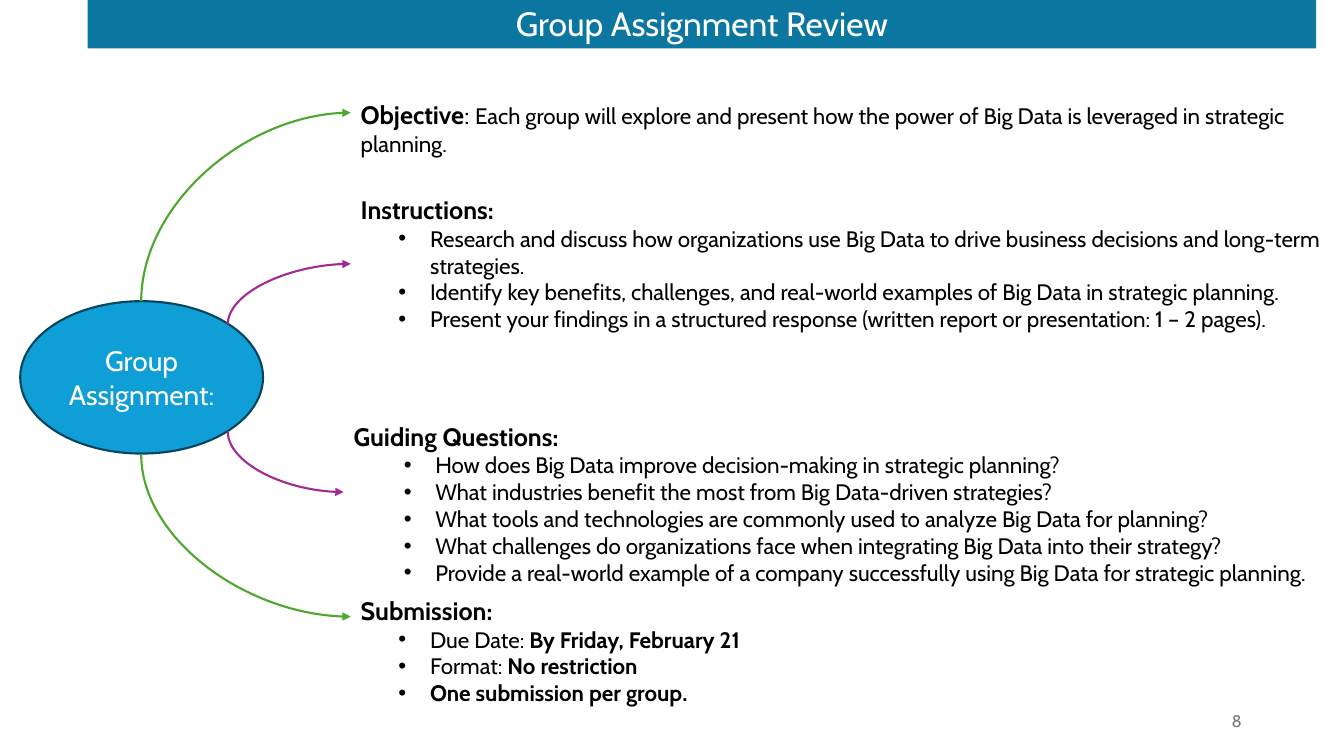
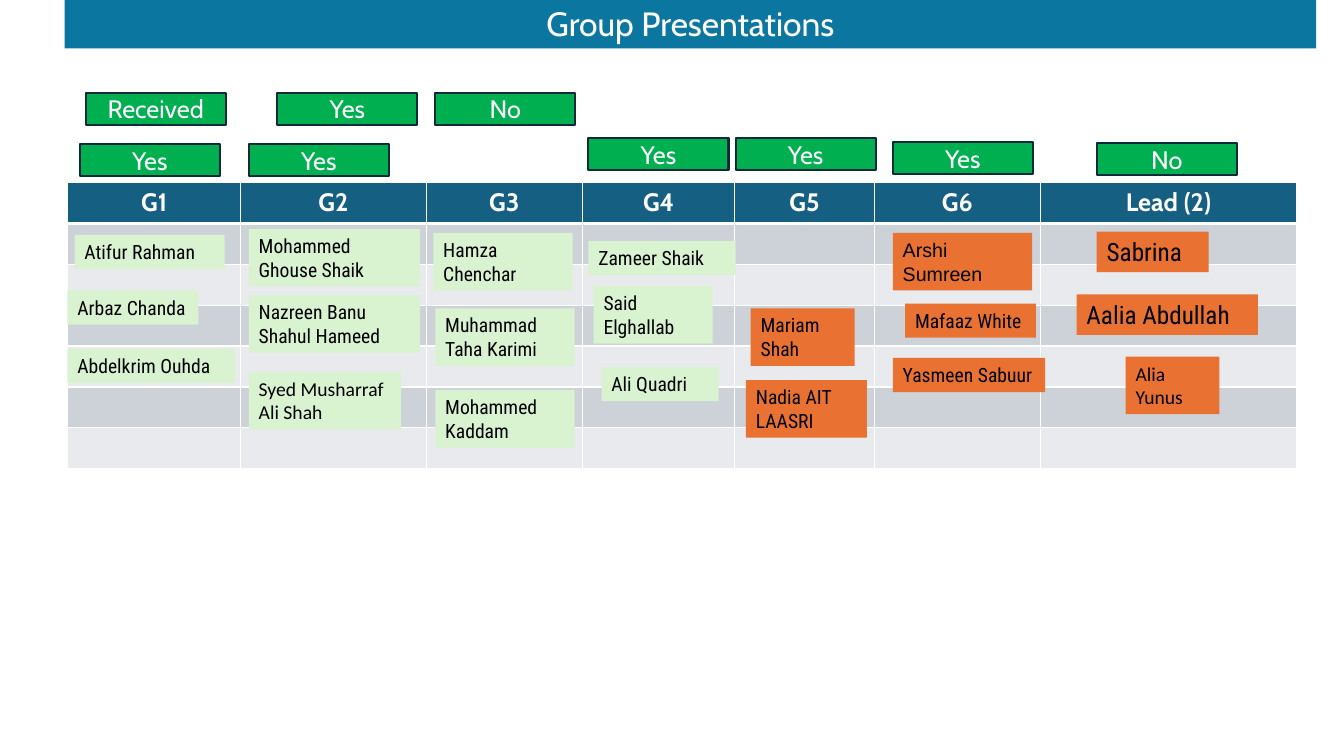
from dataclasses import dataclass

from lxml.etree import SubElement
from pptx import Presentation
from pptx.dml.color import RGBColor
from pptx.enum.shapes import MSO_CONNECTOR, MSO_SHAPE
from pptx.enum.text import MSO_ANCHOR, MSO_AUTO_SIZE, PP_ALIGN
from pptx.oxml import parse_xml
from pptx.oxml.ns import nsdecls, qn
from pptx.util import Cm, Pt


@dataclass(frozen=True)
class Theme:
    # Colours
    band: str = "0B76A0"
    hub: str = "0F9ED5"
    hub_line: str = "07455D"
    green_arrow: str = "4EA72E"
    purple_arrow: str = "A02B93"
    table_head: str = "156082"
    row_dark: str = "CCD2D8"
    row_light: str = "E8EAED"
    member: str = "D9F2D0"
    member_alt: str = "E97132"
    status: str = "00B050"
    status_line: str = "092A39"
    white: str = "FFFFFF"
    black: str = "000000"
    grey: str = "797979"
    # Fonts and type sizes
    font: str = "Cabin"
    card_font: str = "Roboto Condensed"
    title: int = 24
    hub_size: int = 20
    heading: int = 18
    body: int = 16
    card: int = 14
    number: int = 12
    line: float = 1.5


T = Theme()


def rgb(value):
    return RGBColor.from_string(value)


class Deck:
    def __init__(self):
        self.prs = Presentation()
        self.prs.slide_width, self.prs.slide_height = Cm(33.87), Cm(19.05)
        self.s = None

    def slide(self, title, band_left):
        """Start a slide with its title band, which ends at a fixed right edge."""
        self.s = self.prs.slides.add_slide(self.prs.slide_layouts[6])
        self.shape((band_left, -0.05, 33.17 - band_left, 1.27), T.band, title,
                   size=T.title, color=T.white, align=PP_ALIGN.CENTER, grow=True)

    def run(self, p, text, size, color=T.black, font=T.font, bold=False):
        r = p.add_run()
        r.text = text
        style = {"size": Pt(size), "name": font, "bold": bold}
        for name, value in style.items():
            setattr(r.font, name, value)
        r.font.color.rgb = rgb(color)

    def frame(self, sp, anchor=MSO_ANCHOR.TOP, grow=False):
        tf = sp.text_frame
        style = {
            "word_wrap": True,
            "vertical_anchor": anchor,
            "auto_size": MSO_AUTO_SIZE.SHAPE_TO_FIT_TEXT if grow else MSO_AUTO_SIZE.NONE,
        }
        for name, value in style.items():
            setattr(tf, name, value)
        return tf

    def shape(self, box, fill, text, kind=MSO_SHAPE.RECTANGLE, line=None,
              align=PP_ALIGN.LEFT, anchor=MSO_ANCHOR.TOP, grow=False, **font):
        sp = self.s.shapes.add_shape(kind, *map(Cm, box))
        sp.shadow.inherit = False
        sp.fill.solid()
        sp.fill.fore_color.rgb = rgb(fill)
        if line:
            sp.line.color.rgb = rgb(line)
            sp.line.width = Pt(T.line)
        else:
            sp.line.fill.background()
        p = self.frame(sp, anchor, grow).paragraphs[0]
        p.alignment = align
        self.run(p, text, **font)

    def section(self, box, heading, bullets=(), lead=(), indent=(1.75, -0.8)):
        """Bold heading, optional text on its line, then bullets of (text, bold) runs."""
        sp = self.s.shapes.add_textbox(*map(Cm, box))
        tf = self.frame(sp, grow=True)
        p = tf.paragraphs[0]
        self.run(p, heading, T.heading, bold=True)
        for text, size in lead:
            self.run(p, text, size)
        for runs in bullets:
            p = tf.add_paragraph()
            p.level = 1
            pPr = p._p.get_or_add_pPr()
            for name, value in zip(("marL", "indent"), indent):
                pPr.set(name, str(int(Cm(value))))
            SubElement(pPr, qn("a:buFont")).set("typeface", "Arial")
            SubElement(pPr, qn("a:buChar")).set("char", "•")
            for text, bold in runs:
                self.run(p, text, T.body, bold=bold)

    def arrow(self, start, end, color):
        """Quarter curve that leaves vertically and arrives horizontally."""
        (x1, y1), (x2, y2) = start, end
        cx, cy = (x1 + x2) / 2, (y1 + y2) / 2
        half_w, half_h = abs(y2 - y1) / 2, (x2 - x1) / 2
        down = y2 > y1
        if down:
            half_h = -half_h
        c = self.s.shapes.add_connector(
            MSO_CONNECTOR.CURVE, Cm(cx + half_w), Cm(cy + half_h),
            Cm(cx - half_w), Cm(cy - half_h))
        c.line.color.rgb = rgb(color)
        c.line.width = Pt(T.line)
        spPr = c._element.spPr
        spPr.find(qn("a:xfrm")).set("rot", str((270 if down else 90) * 60000))
        spPr.find(qn("a:prstGeom")).set("prst", "curvedConnector2")
        SubElement(spPr.find(qn("a:ln")), qn("a:tailEnd")).set("type", "triangle")
        SubElement(spPr, qn("a:effectLst"))

    def number(self, text):
        sp = self.s.shapes.add_textbox(Cm(23.93), Cm(17.65), Cm(7.62), Cm(1.02))
        p = self.frame(sp, MSO_ANCHOR.MIDDLE).paragraphs[0]
        p.alignment = PP_ALIGN.RIGHT
        self.run(p, text, T.number, T.grey)

    def table(self, left, top, columns, rows, row_height):
        """Header row over empty banded rows; columns are (heading, width)."""
        width = sum(w for _, w in columns)
        table = self.s.shapes.add_table(
            rows, len(columns), Cm(left), Cm(top), Cm(width), Cm(row_height * rows)).table
        for row in table.rows:
            row.height = Cm(row_height)
        for j, (heading, w) in enumerate(columns):
            table.columns[j].width = Cm(w)
            p = table.cell(0, j).text_frame.paragraphs[0]
            p.alignment = PP_ALIGN.CENTER
            self.run(p, heading, T.heading, T.white, bold=True)
            for i in range(rows):
                cell = table.cell(i, j)
                cell.fill.solid()
                band = T.row_dark if i % 2 else T.row_light
                cell.fill.fore_color.rgb = rgb(band if i else T.table_head)
                self.borders(cell, {"L": 1, "R": 1, "T": 3 if i == 1 else 1,
                                    "B": 1 if i else 3})

    def borders(self, cell, widths):
        tcPr = cell._tc.get_or_add_tcPr()
        for k, (side, width) in enumerate(widths.items()):
            tcPr.insert(k, parse_xml(
                f'<a:ln{side} {nsdecls("a")} w="{int(Pt(width))}"><a:solidFill>'
                f'<a:srgbClr val="{T.white}"/></a:solidFill></a:ln{side}>'))

    def card(self, text, x, y, w, fill, lines=1, size=T.card, font=T.card_font):
        height = 1.02 if size > T.card else (0.86, 1.45)[lines - 1]
        self.shape((x, y, w, height), fill, text, grow=True, size=size,
                   color=T.black, font=font)

    def status(self, text, x, y):
        self.shape((x, y, 3.53, 0.81), T.status, text, line=T.status_line,
                   align=PP_ALIGN.CENTER, anchor=MSO_ANCHOR.MIDDLE,
                   size=T.heading, color=T.white)


def assignment_slide(deck):
    deck.slide("Group Assignment Review", 2.21)
    deck.shape((0.51, 7.59, 6.12, 3.84), T.hub, "Group Assignment:",
               kind=MSO_SHAPE.OVAL, line=T.hub_line, align=PP_ALIGN.CENTER,
               anchor=MSO_ANCHOR.MIDDLE, size=T.hub_size, color=T.white)

    # Text sections
    deck.section((8.84, 2.39, 24.79, 1.7), "Objective", lead=[
        (": ", T.heading),
        ("Each group will explore and present how the power of Big Data is "
         "leveraged in strategic planning.", T.body)])
    instructions = [
        "Research and discuss how organizations use Big Data to drive business "
        "decisions and long-term strategies.",
        "Identify key benefits, challenges, and real-world examples of Big Data "
        "in strategic planning.",
        "Present your findings in a structured response (written report or "
        "presentation: 1 – 2 pages).",
    ]
    questions = [
        "How does Big Data improve decision-making in strategic planning?",
        "What industries benefit the most from Big Data-driven strategies?",
        "What tools and technologies are commonly used to analyze Big Data for planning?",
        "What challenges do organizations face when integrating Big Data into their strategy?",
        "Provide a real-world example of a company successfully using Big Data "
        "for strategic planning.",
    ]
    deck.section((8.84, 4.78, 25.02, 3.76), "Instructions:",
                 [[(text, False)] for text in instructions])
    deck.section((8.66, 10.49, 25.15, 4.45), "Guiding Questions:",
                 [[(text, False)] for text in questions], indent=(2.06, -0.79))
    deck.section((8.84, 14.88, 16.92, 3.07), "Submission:", [
        [("Due Date: ", False), ("By Friday, February 21", True)],
        [("Format: ", False), ("No restriction", True)],
        [("One submission per group.", True)]])

    # Arrows from the hub to the sections
    deck.arrow((3.56, 7.59), (8.84, 2.84), T.green_arrow)
    deck.arrow((5.74, 8.18), (8.84, 6.65), T.purple_arrow)
    deck.arrow((3.56, 11.46), (8.84, 15.54), T.green_arrow)
    deck.arrow((5.74, 10.87), (8.66, 12.4), T.purple_arrow)
    deck.number("8")


def presentations_slide(deck):
    deck.slide("Group Presentations", 1.63)
    deck.table(1.7, 4.6, [("G1", 4.37), ("G2", 4.67), ("G3", 3.94), ("G4", 3.84),
                          ("G5", 3.51), ("G6", 4.19), ("Lead (2)", 6.45)], 7, 1.03)

    # Member cards: text, left, top, width, then lines, size and font if special
    members = {
        T.member: [
            ("Atifur Rahman", 1.88, 5.92, 3.78),
            ("Arbaz Chanda", 1.7, 7.32, 3.3),
            ("Abdelkrim Ouhda", 1.7, 8.79, 4.22),
            ("Mohammed Ghouse Shaik", 6.27, 5.77, 4.32, 2),
            ("Nazreen Banu Shahul Hameed", 6.27, 7.44, 4.32, 2),
            ("Syed Musharraf Ali Shah", 6.27, 9.37, 3.84, 2, T.card, "Calibri"),
            ("Hamza Chenchar", 10.92, 5.87, 3.51, 2),
            ("Muhammad Taha Karimi", 10.97, 7.77, 3.51, 2),
            ("Mohammed Kaddam", 10.97, 9.83, 3.51, 2),
            ("Zameer Shaik", 14.83, 6.07, 3.71),
            ("Said Elghallab", 14.96, 7.21, 3, 2),
            ("Ali Quadri", 15.16, 9.25, 2.95),
        ],
        T.member_alt: [
            ("Mariam Shah", 18.92, 7.77, 2.62, 2),
            ("Nadia AIT LAASRI", 18.8, 9.58, 3.05, 2),
            ("Arshi Sumreen", 22.5, 5.87, 3.51, 2, T.card, "Arial"),
            ("Mafaaz White", 22.81, 7.65, 3.3),
            ("Yasmeen Sabuur", 22.5, 9.02, 3.84),
            ("Sabrina", 27.64, 5.84, 2.82, 1, T.heading),
            ("Aalia Abdullah", 27.13, 7.42, 4.57, 1, T.heading),
            ("Alia Yunus", 28.37, 8.99, 2.36, 2, T.card, "Calibri"),
        ],
    }
    for fill, cards in members.items():
        for text, x, y, w, *special in cards:
            deck.card(text, x, y, w, fill, *special)

    # Status tags above the columns
    for tag in [("Received", 2.16, 2.34), ("Yes", 6.99, 2.34), ("No", 10.97, 2.34),
                ("Yes", 2.01, 3.63), ("Yes", 6.27, 3.63), ("Yes", 14.83, 3.48),
                ("Yes", 18.54, 3.48), ("Yes", 22.5, 3.58), ("No", 27.64, 3.61)]:
        deck.status(*tag)


def main():
    deck = Deck()
    assignment_slide(deck)
    presentations_slide(deck)
    deck.prs.save("out.pptx")


if __name__ == "__main__":
    main()
